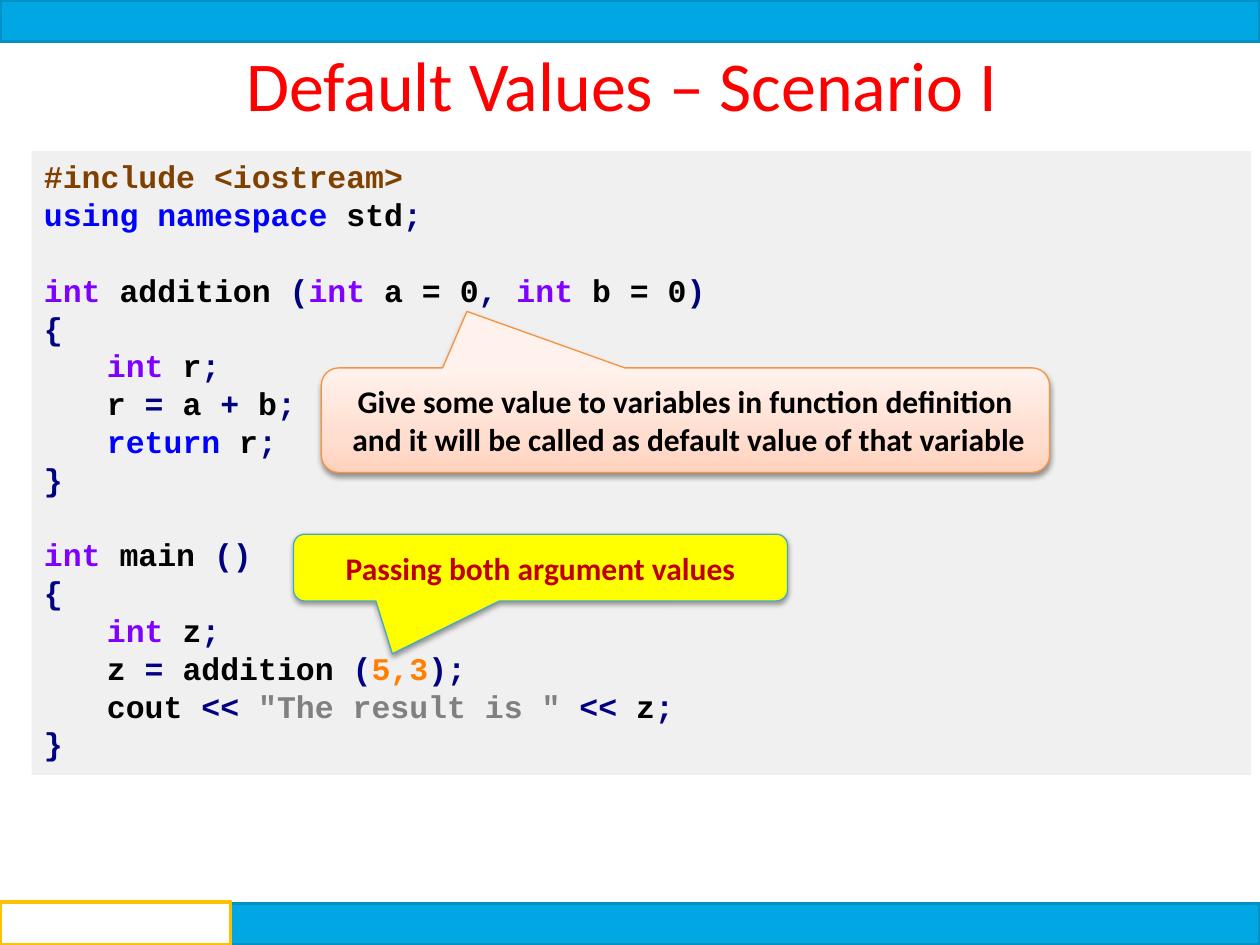
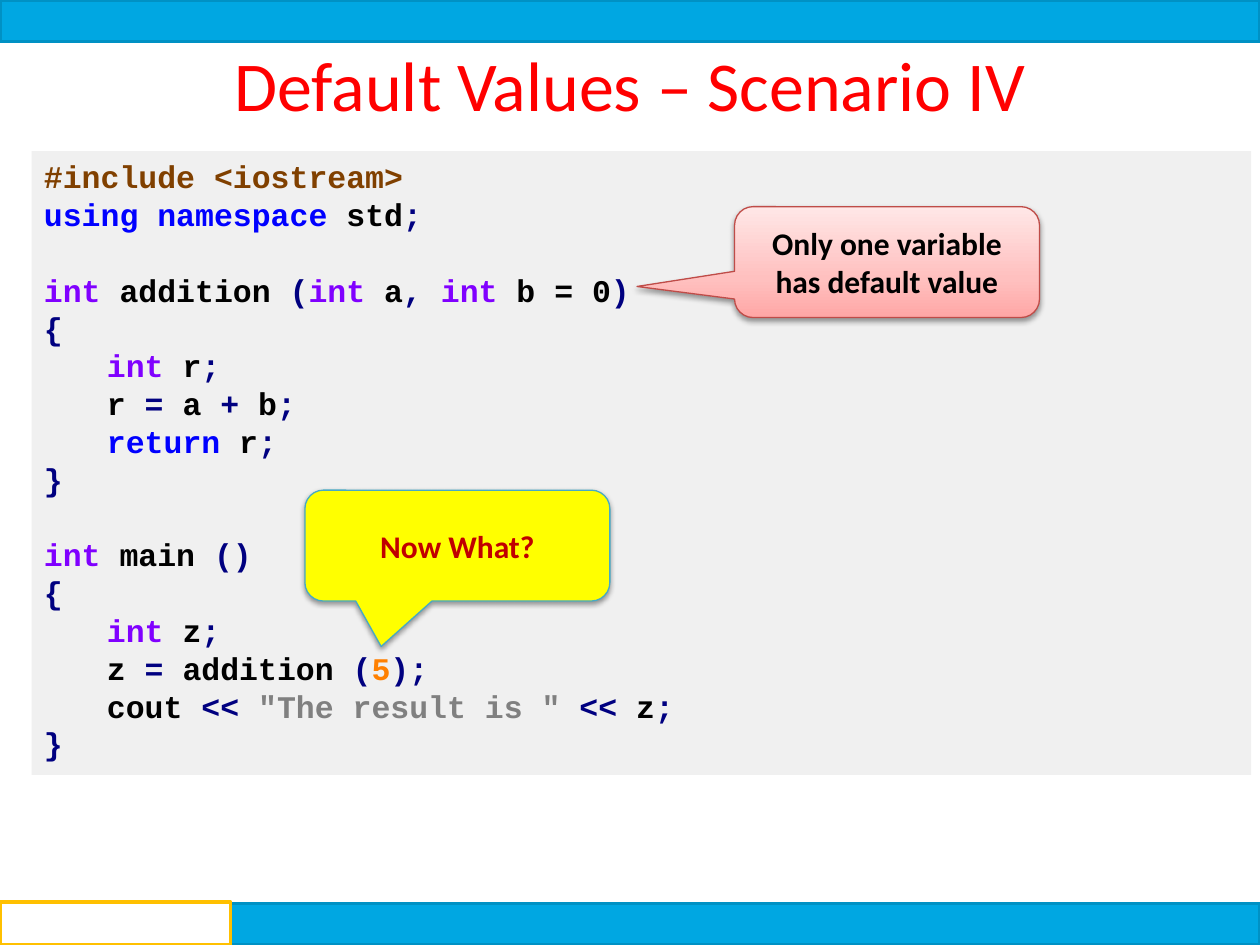
"""Build two slides on default argument values in C++ functions."""
import pptx
import pptx.dml.color
import pptx.enum.shapes
import pptx.enum.text
import pptx.oxml.ns
import pptx.util
from lxml import etree

RGBColor = pptx.dml.color.RGBColor
SHAPES = pptx.enum.shapes.MSO_SHAPE
ALIGN = pptx.enum.text.PP_ALIGN
ANCHOR = pptx.enum.text.MSO_ANCHOR
Pt = pptx.util.Pt
qn = pptx.oxml.ns.qn

COLUMNS, ROWS = 10, 7.5
CELL = pptx.util.Inches(1)
BAND_ROWS = 0.33
TAB_COLUMNS, TAB_ROWS = 1.83, 0.34
CODE_AREA = (0.25, 1.2, 9.68, 4.95)
TITLE_AREA = (0.25, 0.28, 9.5, 0.77)
CODE_LINE = Pt(21.6)
CODE_INDENT = pptx.util.Inches(0.5)
TEXT_FONT, CODE_FONT = "Calibri", "Courier New"

BLACK = RGBColor(0x00, 0x00, 0x00)
WHITE = RGBColor(0xFF, 0xFF, 0xFF)
RED = RGBColor(0xFF, 0x00, 0x00)
DARK_RED = RGBColor(0xC0, 0x00, 0x00)
YELLOW = RGBColor(0xFF, 0xFF, 0x00)
BAND_BLUE = RGBColor(0x00, 0xA7, 0xE2)
BAND_EDGE = RGBColor(0x00, 0x91, 0xC4)
TAB_EDGE = RGBColor(0xFF, 0xC0, 0x00)
CODE_GREY = RGBColor(0xD9, 0xD9, 0xD9)
AQUA_EDGE = RGBColor(0x46, 0xAA, 0xC5)
ORANGE_EDGE = RGBColor(0xF6, 0x92, 0x40)
RED_EDGE = RGBColor(0xBF, 0x4C, 0x48)
ORANGE_FADE = ((0, RGBColor(0xFF, 0xD2, 0xBD)), (35, RGBColor(0xFF, 0xDE, 0xD0)),
               (100, RGBColor(0xFF, 0xF2, 0xED)))
RED_FADE = ((0, RGBColor(0xFF, 0xA6, 0xA5)), (35, RGBColor(0xFF, 0xC0, 0xBF)),
            (100, RGBColor(0xFF, 0xE7, 0xE7)))

DIRECTIVE = RGBColor(0x80, 0x40, 0x00)
KEYWORD = RGBColor(0x00, 0x00, 0xFF)
TYPE = RGBColor(0x80, 0x00, 0xFF)
SYMBOL = RGBColor(0x00, 0x00, 0x80)
NUMBER = RGBColor(0xFF, 0x80, 0x00)
STRING = RGBColor(0x80, 0x80, 0x80)
NAME = BLACK

INT = ("int ", TYPE)
END = (";", SYMBOL)
OPEN, CLOSE = [("{", SYMBOL)], [("}", SYMBOL)]


def program(first_parameter, arguments):
    """Return the code blocks as (indent level, coloured words) lines."""
    return [
        [(0, [("#include <iostream>", DIRECTIVE)]),
         (0, [("using namespace ", KEYWORD), ("std", NAME), END])],
        [(0, [INT, ("addition ", NAME), ("(", SYMBOL), INT, (first_parameter, NAME),
              (", ", SYMBOL), INT, ("b = 0", NAME), (")", SYMBOL)]),
         (0, OPEN),
         (1, [INT, ("r", NAME), END]),
         (1, [("r ", NAME), ("= ", SYMBOL), ("a ", NAME), ("+ ", SYMBOL), ("b", NAME), END]),
         (1, [("return ", KEYWORD), ("r", NAME), END]),
         (0, CLOSE)],
        [(0, [INT, ("main ", NAME), ("()", SYMBOL)]),
         (0, OPEN),
         (1, [INT, ("z", NAME), END]),
         (1, [("z ", NAME), ("=", SYMBOL), (" addition ", NAME), ("(", SYMBOL),
              (arguments, NUMBER), (");", SYMBOL)]),
         (1, [("cout ", NAME), ("<< ", SYMBOL), ('"The result is " ', STRING),
              ("<<", SYMBOL), (" z", NAME), END]),
         (0, CLOSE)],
    ]


SCENARIOS = [
    {"title": "Default Values – Scenario I ",
     "code": program("a = 0", "5,3"),
     "callouts": [
         {"text": "Give some value to variables in function definition\n"
                  " and it will be called as default value of that variable",
          "area": (2.55, 2.92, 5.78, 0.83), "tip": (-0.3, -1.04),
          "fill": ORANGE_FADE, "edge": ORANGE_EDGE, "ink": BLACK},
         {"text": "Passing both argument values",
          "area": (2.33, 4.24, 3.92, 0.53), "tip": (-0.3, 1.29),
          "fill": YELLOW, "edge": AQUA_EDGE, "ink": DARK_RED}]},
    {"title": "Default Values – Scenario IV",
     "code": program("a", "5"),
     "callouts": [
         {"text": "Now What?",
          "area": (2.42, 3.89, 2.42, 0.88), "tip": (-0.25, 0.91),
          "fill": YELLOW, "edge": AQUA_EDGE, "ink": DARK_RED},
         {"text": "Only one variable has default value",
          "area": (5.83, 1.64, 2.42, 0.88), "tip": (-0.82, 0.22),
          "fill": RED_FADE, "edge": RED_EDGE, "ink": BLACK}]},
]


def on_grid(area):
    """Turn columns and rows into slide lengths."""
    return [round(cells * CELL) for cells in area]


def style(run, font, size, ink, bold=False):
    """Format one run."""
    run.font.name, run.font.size, run.font.bold = font, Pt(size), bold
    run.font.color.rgb = ink


def fade(shape, stops):
    """Fill a shape with a gradient that rises from its lower side."""
    shape.fill.gradient()
    shape.fill.gradient_angle = 90
    stop_list = shape._element.spPr.find(".//" + qn("a:gsLst"))
    for stop in list(stop_list):
        stop_list.remove(stop)
    for share, colour in stops:
        stop = etree.SubElement(stop_list, qn("a:gs"), pos=str(share * 1000))
        etree.SubElement(stop, qn("a:srgbClr"), val=str(colour))


def add_block(slide, kind, area, fill, edge=None, width=0):
    """Add a flat preset shape."""
    block = slide.shapes.add_shape(kind, *on_grid(area))
    block.shadow.inherit = False
    if isinstance(fill, RGBColor):
        block.fill.solid()
        block.fill.fore_color.rgb = fill
    else:
        fade(block, fill)
    if edge is None:
        block.line.fill.background()
    else:
        block.line.color.rgb = edge
        block.line.width = Pt(width)
    return block


def add_frame(slide, title):
    """Add the bands, the footer tab and the title."""
    band_top, band_bottom = (0, ROWS - BAND_ROWS)
    add_block(slide, SHAPES.RECTANGLE, (0, band_top, COLUMNS, BAND_ROWS), BAND_BLUE, BAND_EDGE, 2)
    heading = slide.shapes.add_textbox(*on_grid(TITLE_AREA)).text_frame
    heading.word_wrap = True
    heading.text = title
    heading.paragraphs[0].alignment = ALIGN.CENTER
    style(heading.paragraphs[0].runs[0], TEXT_FONT, 40, RED)
    add_block(slide, SHAPES.RECTANGLE, (0, band_bottom, COLUMNS, BAND_ROWS), BAND_BLUE, BAND_EDGE, 2)
    add_block(slide, SHAPES.RECTANGLE, (0, ROWS - TAB_ROWS, TAB_COLUMNS, TAB_ROWS),
              WHITE, TAB_EDGE, 2.25)


def add_code(slide, blocks):
    """Add the listing, with one line of space between its blocks."""
    panel = add_block(slide, SHAPES.RECTANGLE, CODE_AREA, CODE_GREY)
    tint = panel._element.spPr.find(qn("a:solidFill"))[0]
    etree.SubElement(tint, qn("a:alpha"), val="38000")
    listing = panel.text_frame
    listing.word_wrap = True
    listing.vertical_anchor = ANCHOR.TOP
    line = None
    for block in blocks:
        for number, (level, words) in enumerate(block):
            starts_block = line is not None and number == 0
            line = listing.paragraphs[0] if line is None else listing.add_paragraph()
            line.alignment = ALIGN.LEFT
            line.line_spacing = CODE_LINE
            if starts_block:
                line.space_before = CODE_LINE
            if level:
                line.level = level
                properties = line._p.get_or_add_pPr()
                properties.set("marL", str(level * CODE_INDENT))
                properties.set("indent", "0")
            for word, ink in words:
                run = line.add_run()
                run.text = word
                style(run, CODE_FONT, 18, ink, True)


def add_callout(slide, callout):
    """Add a rounded callout with a soft shadow below it."""
    bubble = add_block(slide, SHAPES.ROUNDED_RECTANGULAR_CALLOUT, callout["area"],
                       callout["fill"], callout["edge"], 0.75)
    bubble.adjustments[0], bubble.adjustments[1] = callout["tip"]
    effects = bubble._element.spPr.find(qn("a:effectLst"))
    shadow = etree.SubElement(effects, qn("a:outerShdw"), blurRad=str(Pt(3.1)),
                              dist=str(Pt(1.6)), dir="5400000", rotWithShape="0")
    shade = etree.SubElement(shadow, qn("a:srgbClr"), val=str(BLACK))
    etree.SubElement(shade, qn("a:alpha"), val="38000")
    message = bubble.text_frame
    message.word_wrap = True
    message.vertical_anchor = ANCHOR.MIDDLE
    message.text = callout["text"]
    for paragraph in message.paragraphs:
        paragraph.alignment = ALIGN.CENTER
        style(paragraph.runs[0], TEXT_FONT, 18, callout["ink"], True)


def main():
    """Build and save the presentation."""
    deck = pptx.Presentation()
    deck.slide_width, deck.slide_height = on_grid((COLUMNS, ROWS))
    for scenario in SCENARIOS:
        slide = deck.slides.add_slide(deck.slide_layouts[6])
        add_frame(slide, scenario["title"])
        add_code(slide, scenario["code"])
        for callout in scenario["callouts"]:
            add_callout(slide, callout)
    deck.save("out.pptx")


if __name__ == "__main__":
    main()
